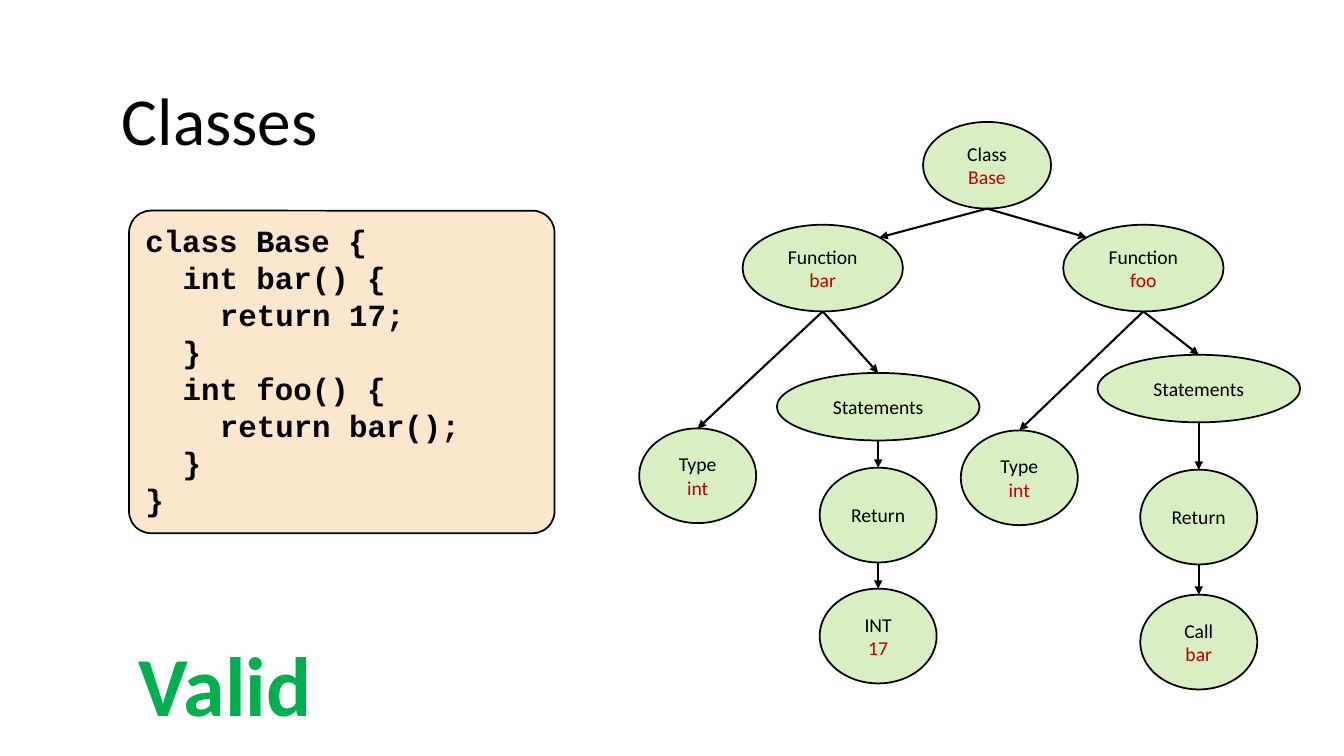
import math
from dataclasses import dataclass

import lxml.etree
import pptx
import pptx.dml.color
import pptx.enum.shapes
import pptx.enum.text
import pptx.oxml.ns
import pptx.util

Inches = pptx.util.Inches
Pt = pptx.util.Pt
qn = pptx.oxml.ns.qn
SHAPE = pptx.enum.shapes.MSO_SHAPE
ANCHOR = pptx.enum.text.MSO_ANCHOR
ALIGN = pptx.enum.text.PP_ALIGN

COLORS = {
    "black": "000000",
    "red": "C00000",
    "green": "00B050",
    "node": "92D050",
    "code": "FBE6CE",
}
NODE_OPACITY = 34
CODE_INDENT = 0.37  # two 22 pt monospaced characters


@dataclass
class Node:
    """A syntax tree node, placed by its top centre."""
    label: str
    value: str
    cx: float
    top: float
    width: float = 1.16
    height: float = 0.94

    def edge_point(self, degrees: float) -> tuple[float, float]:
        """Point on the outline; 90 is the top and 270 the bottom."""
        angle = math.radians(degrees)
        return (self.cx + self.width / 2 * math.cos(angle),
                self.top + self.height / 2 * (1 - math.sin(angle)))


@dataclass
class Edge:
    parent: str
    child: str
    arrival: float = 90


@dataclass
class CodeLine:
    level: int
    text: str


NODES = {
    "class": Node("Class", "Base", 9.79, 1.21, 1.27, 0.86),
    "bar": Node("Function", "bar", 8.16, 2.23, 1.59, 0.86),
    "bar type": Node("Type", "int", 6.92, 4.25),
    "bar body": Node("Statements", "", 8.71, 3.7, 2.01, 0.67),
    "bar return": Node("Return", "", 8.71, 4.64),
    "bar value": Node("INT", "17", 8.71, 5.84),
    "foo": Node("Function", "foo", 11.34, 2.23, 1.59, 0.86),
    "foo type": Node("Type", "int", 10.11, 4.27),
    "foo body": Node("Statements", "", 11.89, 3.52, 2.01, 0.67),
    "foo return": Node("Return", "", 11.89, 4.66),
    "foo value": Node("Call", "bar", 11.89, 5.9),
}

EDGES = [Edge("class", "bar", 45), Edge("class", "foo", 135)]
for name in ("bar", "foo"):
    EDGES += [
        Edge(name, f"{name} type"),
        Edge(name, f"{name} body"),
        Edge(f"{name} body", f"{name} return"),
        Edge(f"{name} return", f"{name} value"),
    ]

CODE = [
    CodeLine(0, "class Base {"),
    CodeLine(1, "int bar() {"),
    CodeLine(2, "return 17;"),
    CodeLine(1, "}"),
    CodeLine(1, "int foo() {"),
    CodeLine(2, "return bar();"),
    CodeLine(1, "}"),
    CodeLine(0, "}"),
]


def rgb(color: str) -> pptx.dml.color.RGBColor:
    return pptx.dml.color.RGBColor.from_string(COLORS[color])


def add_run(p, text: str, size: float, color: str = "black",
            font: str = "Calibri", bold: bool = False) -> None:
    r = p.add_run()
    r.text = text
    r.font.size = Pt(size)
    r.font.name = font
    r.font.bold = bold
    r.font.color.rgb = rgb(color)


def add_outlined(slide, kind, left: float, top: float, width: float,
                 height: float, fill: str):
    sp = slide.shapes.add_shape(kind, Inches(left), Inches(top),
                                Inches(width), Inches(height))
    sp.shadow.inherit = False
    sp.fill.solid()
    sp.fill.fore_color.rgb = rgb(fill)
    sp.line.color.rgb = rgb("black")
    sp.line.width = Pt(1.25)
    sp.text_frame.word_wrap = True
    return sp


def add_node(slide, node: Node) -> None:
    sp = add_outlined(slide, SHAPE.OVAL, node.cx - node.width / 2, node.top,
                      node.width, node.height, "node")
    color = sp._element.spPr.find(qn("a:solidFill"))[0]
    lxml.etree.SubElement(color, qn("a:alpha"), val=str(NODE_OPACITY * 1000))
    tf = sp.text_frame
    tf.vertical_anchor = ANCHOR.MIDDLE
    tf.margin_left = tf.margin_right = 0
    p = tf.paragraphs[0]
    p.alignment = ALIGN.CENTER
    add_run(p, node.label, 14)
    if node.value:
        p = tf.add_paragraph()
        p.alignment = ALIGN.CENTER
        add_run(p, node.value, 14, "red")


def add_edge(slide, edge: Edge) -> None:
    start = NODES[edge.parent].edge_point(270)
    end = NODES[edge.child].edge_point(edge.arrival)
    line = slide.shapes.add_connector(
        pptx.enum.shapes.MSO_CONNECTOR.STRAIGHT,
        *(Inches(v) for v in start + end))
    line.line.color.rgb = rgb("black")
    line.line.width = Pt(1.5)
    lxml.etree.SubElement(line.line._get_or_add_ln(), qn("a:tailEnd"),
                          type="triangle")
    lxml.etree.SubElement(line._element.spPr, qn("a:effectLst"))


def add_code(slide) -> None:
    sp = add_outlined(slide, SHAPE.ROUNDED_RECTANGLE, 1.28, 2.09, 4.22, 3.2,
                      "code")
    sp.adjustments[0] = 0.068
    tf = sp.text_frame
    tf.vertical_anchor = ANCHOR.TOP
    for i, line in enumerate(CODE):
        p = tf.add_paragraph() if i else tf.paragraphs[0]
        p.alignment = ALIGN.LEFT
        p._p.get_or_add_pPr().set("marL", str(Inches(line.level * CODE_INDENT)))
        add_run(p, line.text, 22, font="Courier New", bold=True)


def main() -> None:
    prs = pptx.Presentation()
    prs.slide_width, prs.slide_height = Inches(13.33), Inches(7.5)
    s = prs.slides.add_slide(prs.slide_layouts[5])

    # Title
    title = s.shapes.title
    title.left, title.top = Inches(1.11), Inches(0.73)
    title.width, title.height = Inches(11.09), Inches(0.91)
    tf = title.text_frame
    tf.auto_size = pptx.enum.text.MSO_AUTO_SIZE.SHAPE_TO_FIT_TEXT
    tf.vertical_anchor = ANCHOR.TOP
    tf.paragraphs[0].alignment = ALIGN.LEFT
    add_run(tf.paragraphs[0], "Classes", 48)

    # Syntax tree
    for edge in EDGES:
        add_edge(s, edge)
    for node in NODES.values():
        add_node(s, node)

    # Verdict
    verdict = s.shapes.add_textbox(Inches(1.28), Inches(6.23), Inches(3.06),
                                   Inches(1.11))
    tf = verdict.text_frame
    tf.word_wrap = True
    tf.auto_size = pptx.enum.text.MSO_AUTO_SIZE.SHAPE_TO_FIT_TEXT
    add_run(tf.paragraphs[0], "Valid", 60, "green", bold=True)

    # Source code
    add_code(s)

    prs.save("out.pptx")


if __name__ == "__main__":
    main()
